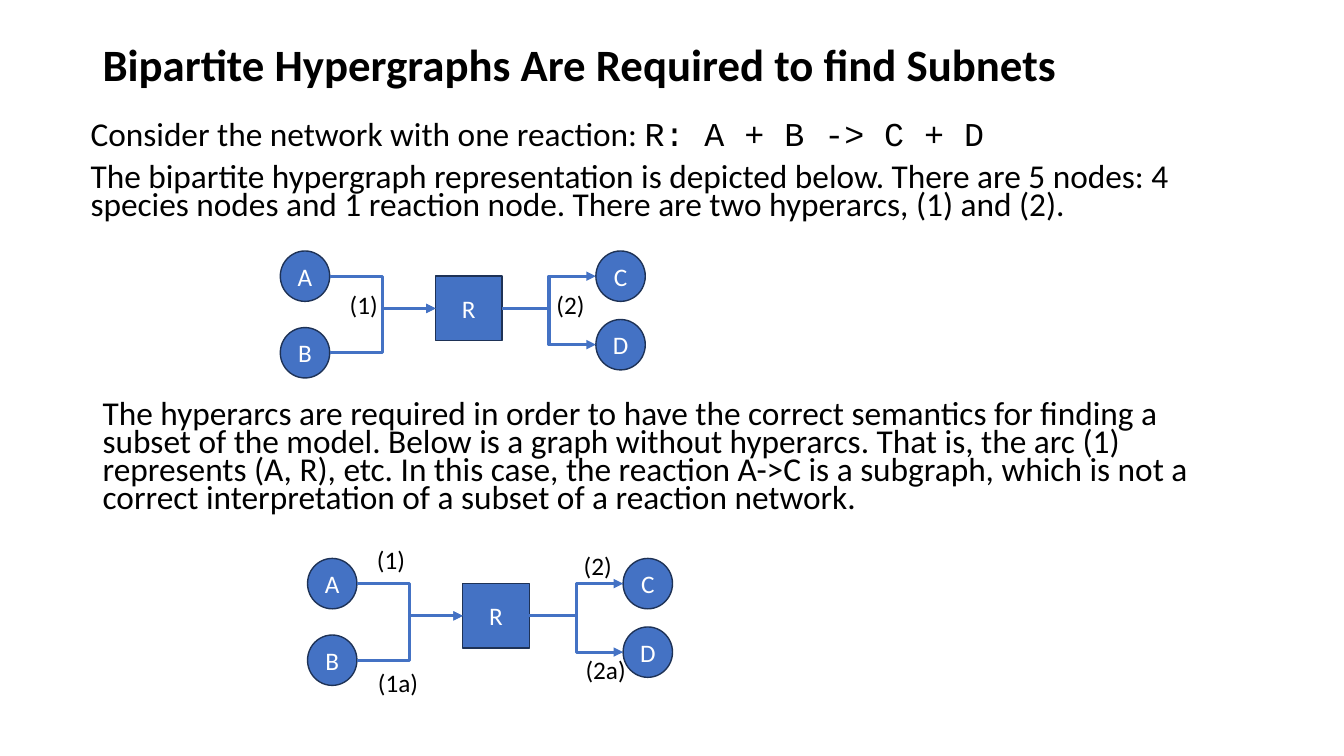
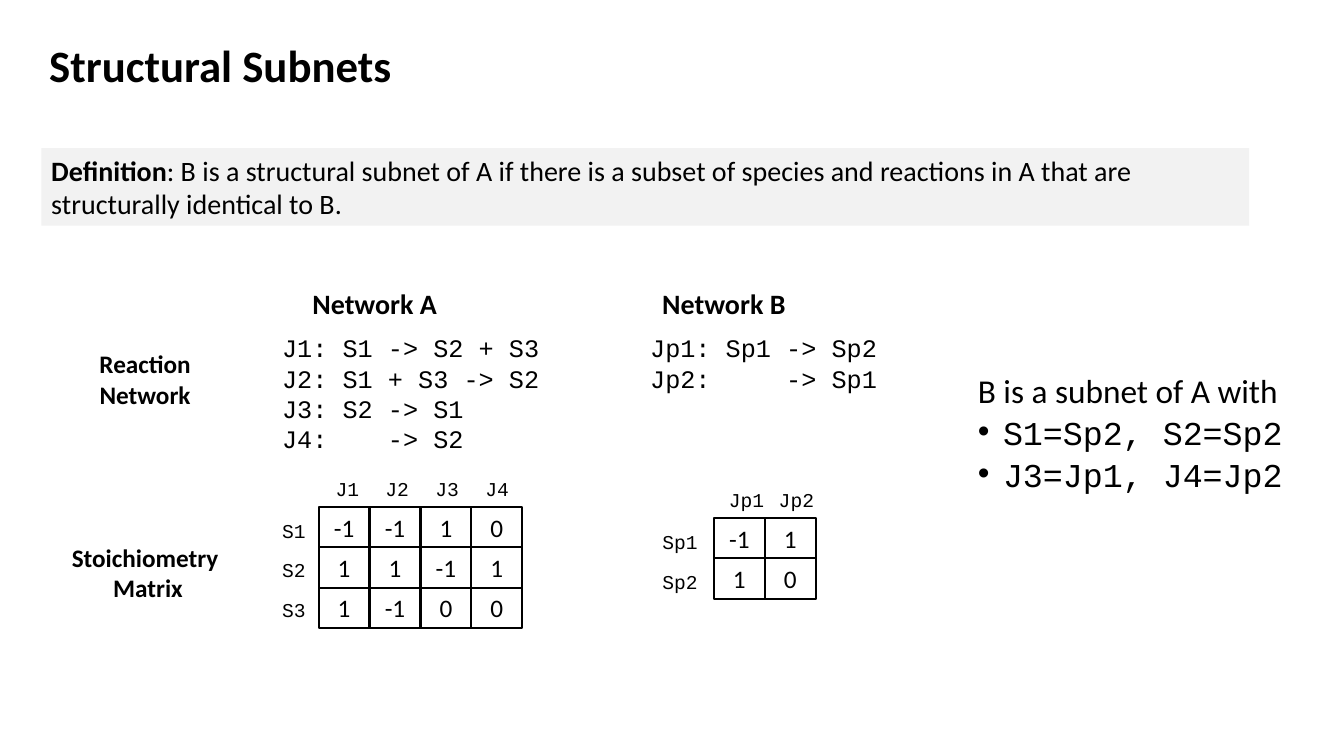
from lxml.etree import SubElement
from pptx import Presentation
from pptx.dml.color import RGBColor
from pptx.enum.shapes import MSO_CONNECTOR, MSO_SHAPE
from pptx.enum.text import MSO_ANCHOR, MSO_AUTO_SIZE, PP_ALIGN
from pptx.oxml.ns import qn
from pptx.util import Pt

PX = 9144  # EMU per px, 100 px to the inch
BLACK = RGBColor(0x00, 0x00, 0x00)
WHITE = RGBColor(0xFF, 0xFF, 0xFF)
BLUE = RGBColor(0x44, 0x72, 0xC4)
NAVY = RGBColor(0x1E, 0x32, 0x56)
GREY = RGBColor(0xF2, 0xF2, 0xF2)
SANS, MONO = "Calibri", "Courier New"
BODY = {"size": 23.8, "lead": 0.7, "before": 10}

# Slide 1: a paragraph is a string or a list of (text, style) runs
GRAPHS = "Bipartite Hypergraphs Are Required to find Subnets"
INTRO = [
    [("Consider the network with one reaction: ", {}),
     ("R: A + B -> C + D", {"font": MONO})],
    "The bipartite hypergraph representation is depicted below. There are 5 "
    "nodes: 4 species nodes and 1 reaction node. There are two hyperarcs, "
    "(1) and (2).",
]
REASON = [
    "The hyperarcs are required in order to have the correct semantics for "
    "finding a subset of the model. Below is a graph without hyperarcs. That "
    "is, the arc (1) represents (A, R), etc. In this case, the reaction A->C "
    "is a subgraph, which is not a correct interpretation of a subset of a "
    "reaction network.",
]
NODES = {  # offset and size within a diagram
    "A": (0, 0, 49, 50), "B": (0, 76, 49, 50), "C": (313, 0, 49, 50),
    "D": (313, 68, 49, 50), "R": (154, 25, 66, 64),
}
ARCS = ["AR", "BR", "RC", "RD"]
DIAGRAMS = [  # origin, then arc labels with their boxes
    ((278, 249), [("(1)", (337, 282, 48, 40)), ("(2)", (542, 282, 48, 40))]),
    ((305, 554), [("(1)", (364, 535, 48, 40)), ("(2)", (569, 541, 48, 40)),
                  ("(1a)", (365, 657, 61, 40)), ("(2a)", (571, 644, 61, 40))]),
]

# Slide 2
SUBNETS = "Structural Subnets"
MEANING = [[
    ("Definition", {"bold": True}),
    (": B is a structural subnet of A if there is a subset of species and "
     "reactions in A that are structurally identical to B.", {}),
]]
HEADS = [("Network A", (300, 279, 145, 44)), ("Network B", (647, 279, 144, 44))]
SIDES = [(["Reaction", "Network"], 341), (["Stoichiometry", " Matrix"], 533)]
CODES = [  # lines, box, tab stop
    (["J1: S1 -> S2 + S3", "J2: S1 + S3 -> S2", "J3: S2 -> S1",
      "J4:\t-> S2"], (270, 325, 276, 131), 105),
    (["Jp1: Sp1 -> Sp2", "Jp2:\t-> Sp1"], (635, 325, 246, 71), 135),
]
MATRICES = [
    {"at": (316, 503, 202, 120), "cols": ["J1", "J2", "J3", "J4"],
     "rows": {"S1": [-1, -1, 1, 0], "S2": [1, 1, -1, 1], "S3": [1, -1, 0, 0]},
     "left": 270, "wide": 44, "inset": 7},
    {"at": (708, 514, 101, 80), "cols": ["Jp1", "Jp2"],
     "rows": {"Sp1": [-1, 1], "Sp2": [1, 0]},
     "left": 647, "wide": 55, "inset": 5},
]
CLAIM = "B is a subnet of A with"
MATCHES = ["S1=Sp2, S2=Sp2", "J3=Jp1, J4=Jp2"]


def emu(box):
    return [round(n * PX) for n in box]


def write(frame, paras, size=18, font=SANS, color=BLACK, bold=False,
          align=PP_ALIGN.LEFT, lead=None, before=None):
    """Fill a text frame; the first paragraph is already there."""
    for i, runs in enumerate(paras):
        para = frame.add_paragraph() if i else frame.paragraphs[0]
        para.alignment = align
        if lead:
            para.line_spacing = lead
        if before:
            para.space_before = Pt(before)
        if isinstance(runs, str):
            runs = [(runs, {})]
        for text, style in runs:
            run = para.add_run()
            run.text = text
            run.font.size = Pt(size)
            run.font.name = style.get("font", font)
            run.font.bold = style.get("bold", bold)
            run.font.color.rgb = color


def add_text(parent, box, paras, wrap=True, anchor=MSO_ANCHOR.TOP, **style):
    """Add a text box to a slide or a group."""
    frame = parent.shapes.add_textbox(*emu(box)).text_frame
    frame.word_wrap = wrap
    frame.auto_size = MSO_AUTO_SIZE.NONE if wrap else MSO_AUTO_SIZE.SHAPE_TO_FIT_TEXT
    frame.vertical_anchor = anchor
    write(frame, paras, **style)
    return frame


def add_title(slide, box, text):
    add_text(slide, box, [text], anchor=MSO_ANCHOR.MIDDLE, size=32,
             bold=True, lead=0.9)


def add_box(parent, kind, box, fill=None, edge=None, weight=1):
    shape = parent.shapes.add_shape(kind, *emu(box))
    shape.shadow.inherit = False
    if fill is None:
        shape.fill.background()
    else:
        shape.fill.solid()
        shape.fill.fore_color.rgb = fill
    if edge is None:
        shape.line.fill.background()
    else:
        shape.line.color.rgb = edge
        shape.line.width = Pt(weight)
    return shape


def add_arc(slide, start, end):
    arc = slide.shapes.add_connector(MSO_CONNECTOR.ELBOW, *emu(start + end))
    arc.line.color.rgb = BLUE
    arc.line.width = Pt(2.25)
    SubElement(arc.line._get_or_add_ln(), qn("a:tailEnd"), type="triangle")
    SubElement(arc._element.spPr, qn("a:effectLst"))


def add_diagram(slide, origin, labels):
    left, top = origin
    spots = {name: (left + x, top + y, w, h)
             for name, (x, y, w, h) in NODES.items()}
    for name, spot in spots.items():
        kind = MSO_SHAPE.RECTANGLE if name == "R" else MSO_SHAPE.OVAL
        frame = add_box(slide, kind, spot, BLUE, NAVY).text_frame
        frame.vertical_anchor = MSO_ANCHOR.MIDDLE
        frame.word_wrap = False
        write(frame, [name], color=WHITE, align=PP_ALIGN.CENTER)
    for tail, head in ARCS:
        x, y, w, h = spots[tail]
        end_x, end_y, _, end_h = spots[head]
        add_arc(slide, (x + w, y + h // 2), (end_x, end_y + end_h // 2))
    for text, box in labels:
        add_text(slide, box, [text], wrap=False)


def add_matrix(slide, at, cols, rows, left, wide, inset):
    """Group the boxed values with their row and column names."""
    group = slide.shapes.add_group_shape()
    x, y, width, height = at
    step, pitch = width / len(cols), height / len(rows)
    label = {"wrap": False, "size": 14, "font": MONO}
    for r, (name, values) in enumerate(rows.items()):
        for c, value in enumerate(values):
            spot = (x + c * step, y + r * pitch, step, pitch)
            frame = add_box(group, MSO_SHAPE.RECTANGLE, spot,
                            edge=BLACK, weight=1.5).text_frame
            frame.word_wrap = True
            frame.vertical_anchor = MSO_ANCHOR.TOP
            write(frame, [str(value)], align=PP_ALIGN.CENTER)
        add_text(group, (left, y + 7 + r * (pitch - 1), wide, 34), [name], **label)
    for c, name in enumerate(cols):
        add_text(group, (x + inset + c * (step - 1), y - 35, wide, 34),
                 [name], **label)


def add_code(slide, lines, box, stop):
    frame = add_text(slide, box, lines, wrap=False, font=MONO)
    props = frame.paragraphs[-1]._p.get_or_add_pPr()
    tabs = SubElement(props, qn("a:tabLst"))
    SubElement(tabs, qn("a:tab"), pos=str(stop * PX), algn="l")


def add_claim(slide, box):
    bullets = [[(text, {"font": MONO})] for text in MATCHES]
    frame = add_text(slide, box, [CLAIM] + bullets, **BODY)
    for para in frame.paragraphs[1:]:
        props = para._p.get_or_add_pPr()
        props.set("marL", str(25 * PX))
        props.set("indent", str(-25 * PX))
        SubElement(props, qn("a:buFont"), typeface="Arial")
        SubElement(props, qn("a:buChar"), char="•")


def graph_slide(slide):
    add_title(slide, (92, 22, 1150, 88), GRAPHS)
    add_text(slide, (80, 118, 1135, 114), INTRO, **BODY)
    add_text(slide, (92, 395, 1135, 135), REASON, **BODY)
    for origin, labels in DIAGRAMS:
        add_diagram(slide, origin, labels)


def subnet_slide(slide):
    add_title(slide, (39, 32, 1150, 70), SUBNETS)
    band = add_box(slide, MSO_SHAPE.RECTANGLE, (41, 147, 1198, 77), GREY)
    band.text_frame.word_wrap = True
    band.text_frame.vertical_anchor = MSO_ANCHOR.TOP
    write(band.text_frame, MEANING, size=20)
    for text, box in HEADS:
        add_text(slide, box, [text], wrap=False, size=20, bold=True)
    for lines, top in SIDES:
        add_text(slide, (51, top, 186, 71), lines, bold=True,
                 align=PP_ALIGN.CENTER)
    for lines, box, stop in CODES:
        add_code(slide, lines, box, stop)
    for matrix in MATRICES:
        add_matrix(slide, **matrix)
    add_claim(slide, (960, 373, 357, 127))


def main():
    deck = Presentation()
    deck.slide_width, deck.slide_height = emu((1333, 750))
    for build in (graph_slide, subnet_slide):
        build(deck.slides.add_slide(deck.slide_layouts[6]))
    deck.save("out.pptx")


if __name__ == "__main__":
    main()
